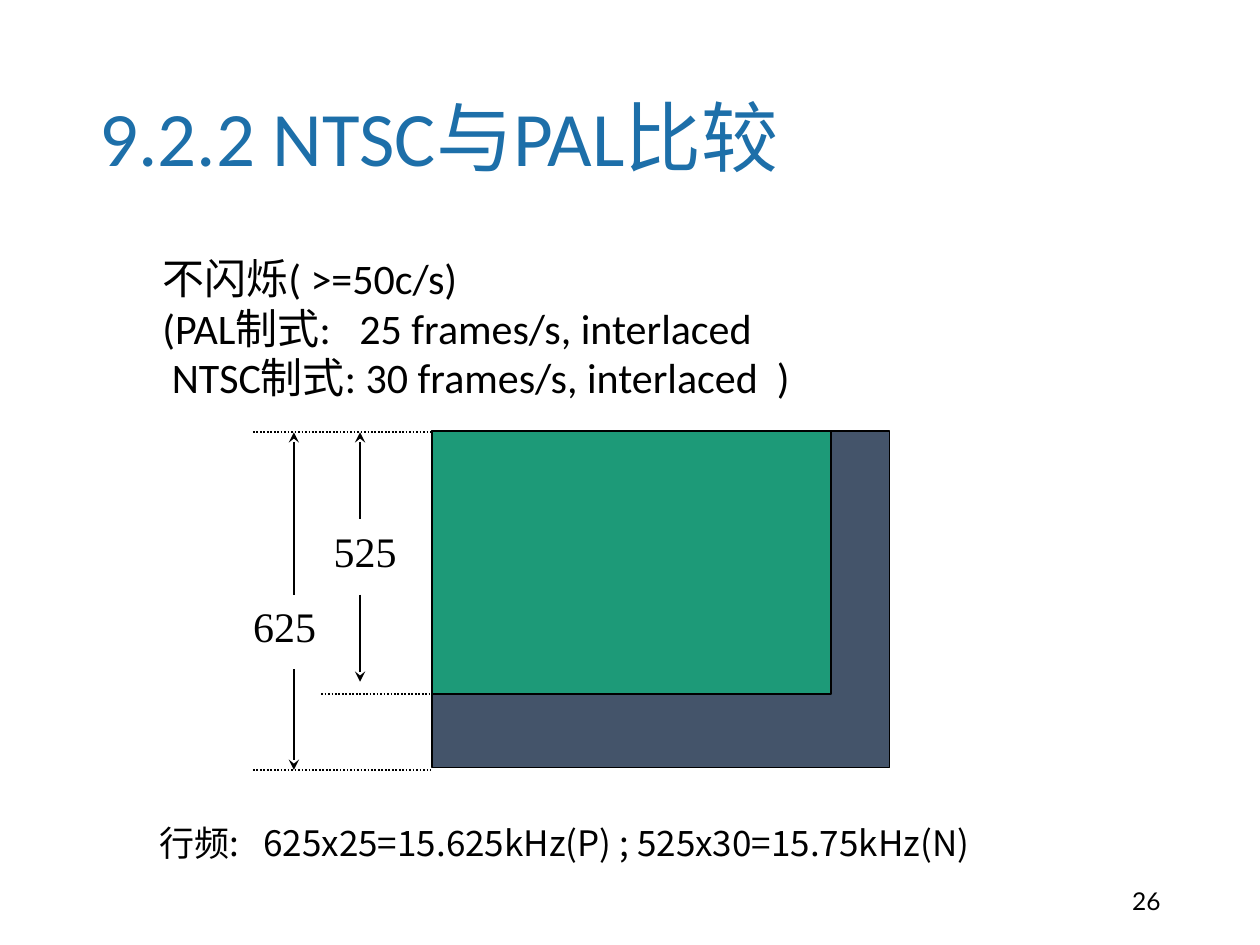
from dataclasses import dataclass

from lxml import etree
from pptx import Presentation
from pptx.dml.color import RGBColor
from pptx.enum.dml import MSO_LINE
from pptx.enum.shapes import MSO_CONNECTOR, MSO_SHAPE
from pptx.enum.text import MSO_ANCHOR, PP_ALIGN
from pptx.oxml.ns import qn
from pptx.util import Emu, Inches, Pt

STRAIGHT = MSO_CONNECTOR.STRAIGHT
RECTANGLE = MSO_SHAPE.RECTANGLE
DOTTED = MSO_LINE.ROUND_DOT
TOP, MIDDLE = MSO_ANCHOR.TOP, MSO_ANCHOR.MIDDLE
LEFT, RIGHT = PP_ALIGN.LEFT, PP_ALIGN.RIGHT


@dataclass(frozen=True)
class Theme:
    title: str = "1D6FA9"
    ink: str = "000000"
    pal: str = "44546A"
    ntsc: str = "1D9A78"
    main_font: str = "Calibri"
    label_font: str = "Times New Roman"
    formula_font: str = "Noto Sans CJK SC"
    number_font: str = "Lato"
    title_size: int = 44
    body_size: int = 24
    formula_size: int = 20
    number_size: int = 14
    line_width: int = 1


THEME = Theme()


@dataclass(frozen=True)
class Box:
    left: int
    top: int
    width: int
    height: int

    def point(self, x, y):
        return (Emu(round(self.left + self.width * x / 100)),
                Emu(round(self.top + self.height * y / 100)))

    def region(self, x, y, width, height):
        left, top = self.point(x, y)
        return Box(left, top, Emu(round(self.width * width / 100)),
                   Emu(round(self.height * height / 100)))

    def bounds(self):
        return self.left, self.top, self.width, self.height


def color(value):
    return RGBColor.from_string(value)


def write_text(shape, lines, *, font, size, ink=THEME.ink, align=LEFT, anchor=TOP,
               spacings=(1,), space_before=0, indent=0, hanging=0):
    frame = shape.text_frame
    frame.word_wrap = True
    frame.vertical_anchor = anchor
    for index, line in enumerate(lines):
        paragraph = frame.paragraphs[0] if index == 0 else frame.add_paragraph()
        paragraph.alignment = align
        paragraph.line_spacing = float(spacings[min(index, len(spacings) - 1)])
        paragraph.space_before = Pt(space_before if index else 0)
        properties = paragraph._p.get_or_add_pPr()
        properties.set("marL", str(Inches(indent)))
        properties.set("indent", str(Inches(hanging)))
        run = paragraph.add_run()
        run.text = line
        run.font.name = font
        run.font.size = Pt(size)
        run.font.color.rgb = color(ink)
        east_asian = etree.SubElement(run._r.get_or_add_rPr(), qn("a:ea"))
        east_asian.set("typeface", font)


def add_text(slide, box, lines, **text_format):
    shape = slide.shapes.add_textbox(*box.bounds())
    write_text(shape, lines, **text_format)


def add_screen(slide, box, fill):
    shape = slide.shapes.add_shape(RECTANGLE, *box.bounds())
    shape.shadow.inherit = False
    shape.fill.solid()
    shape.fill.fore_color.rgb = color(fill)
    shape.line.color.rgb = color(THEME.ink)
    shape.line.width = Pt(THEME.line_width)


def add_line(slide, start, end, dash=None, arrow=None):
    connector = slide.shapes.add_connector(STRAIGHT, *start, *end)
    connector.line.color.rgb = color(THEME.ink)
    connector.line.width = Pt(THEME.line_width)
    if dash:
        connector.line.dash_style = dash
    if arrow:
        outline = connector.line._get_or_add_ln()
        etree.SubElement(outline, qn(f"a:{arrow}")).set("type", "stealth")
    etree.SubElement(connector._element.spPr, qn("a:effectLst"))


def place_title(slide, box):
    title = slide.shapes.title
    title.left, title.top, title.width, title.height = box.bounds()
    write_text(title, ["9.2.2 NTSC与PAL比较"], font=THEME.main_font,
               size=THEME.title_size, ink=THEME.title, anchor=MIDDLE, spacings=(0.9,))


def place_body(slide, box):
    lines = ["不闪烁( >=50c/s)",
             "(PAL制式:   25 frames/s, interlaced",
             " NTSC制式: 30 frames/s, interlaced  )"]
    add_text(slide, box, lines, font=THEME.main_font, size=THEME.body_size,
             spacings=(0.9, 0.8), space_before=5, indent=0.88, hanging=-0.38)


def place_dimension(slide, box, text, label_left, axis, rows):
    top, label_top, label_bottom, bottom = rows
    add_text(slide, box.region(label_left, label_top, 18.6, 22.3), [text],
             font=THEME.label_font, size=THEME.body_size)
    add_line(slide, box.point(axis, top), box.point(axis, label_top), arrow="headEnd")
    add_line(slide, box.point(axis, label_bottom), box.point(axis, bottom), arrow="tailEnd")


def place_scan_diagram(slide, box):
    screen_left, guide_end, top = 29.5, 29.3, 0.4
    ntsc_bottom, label_row, next_row = 77.7, 26, 48.3
    add_screen(slide, box.region(screen_left, 0, 70.5, 99.3), THEME.pal)
    add_screen(slide, box.region(screen_left, 0, 61.5, ntsc_bottom), THEME.ntsc)
    for start, row in ((1.9, top), (1.9, 100), (12.4, ntsc_bottom)):
        add_line(slide, box.point(start, row), box.point(guide_end, row), dash=DOTTED)
    place_dimension(slide, box, "525", 12.4, 18.4, (top, label_row, next_row, 74))
    place_dimension(slide, box, "625", 0, 8.2, (top, next_row, 70.3, 100))


def place_formula(slide, box):
    add_text(slide, box, ["行频:   625x25=15.625kHz(P) ; 525x30=15.75kHz(N)"],
             font=THEME.formula_font, size=THEME.formula_size)


def place_number(slide, box):
    add_text(slide, box, ["26"], font=THEME.number_font, size=THEME.number_size,
             align=RIGHT, anchor=MIDDLE)


def main():
    presentation = Presentation()
    presentation.slide_width, presentation.slide_height = Inches(10), Inches(7.5)
    page = Box(0, 0, presentation.slide_width, presentation.slide_height)
    slide = presentation.slides.add_slide(presentation.slide_layouts[5])
    place_title(slide, page.region(6.9, 5.33, 86.2, 19.33))
    place_body(slide, page.region(6.9, 26.67, 86.2, 63.47))
    place_number(slide, page.region(70.6, 92.67, 22.5, 5.33))
    place_scan_diagram(slide, page.region(19.1, 45.6, 51.5, 35.87))
    place_formula(slide, page.region(11.7, 86.27, 84.1, 5.73))
    presentation.save("out.pptx")


if __name__ == "__main__":
    main()
